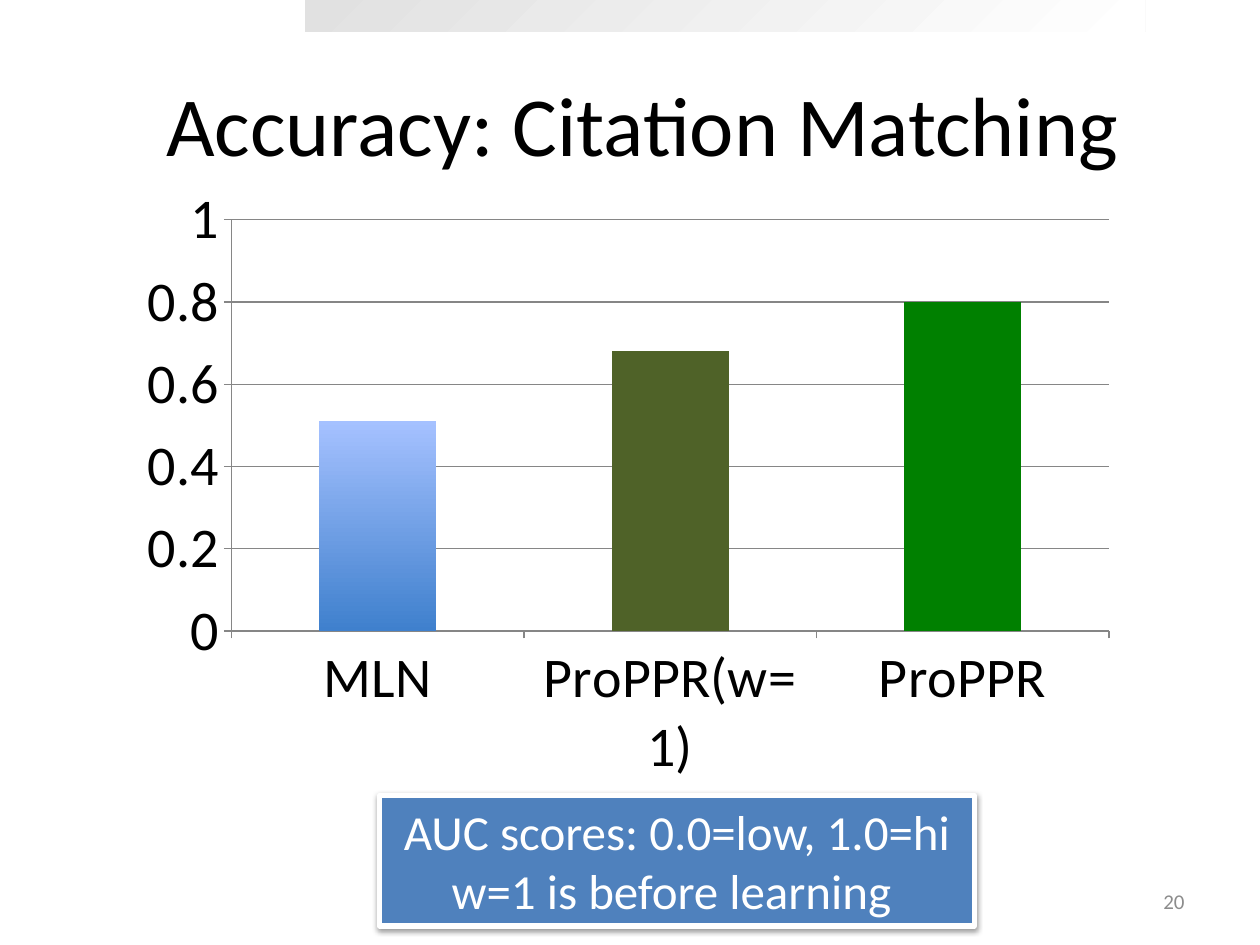
"""Builds the slide that compares citation matching accuracy in a column chart."""
from dataclasses import dataclass

from lxml import etree
from pptx import Presentation
from pptx import util as u
from pptx.chart import data as chart_data
from pptx.dml.color import RGBColor
from pptx.enum import chart as charts, shapes, text
from pptx.oxml import ns

FONT = "Calibri"
BLACK = RGBColor(0x00, 0x00, 0x00)
WHITE = RGBColor(0xFF, 0xFF, 0xFF)
SILVER = RGBColor(0xE1, 0xE1, 0xE1)
GREY = RGBColor(0x8C, 0x8C, 0x8C)
AXIS_GREY = RGBColor(0x86, 0x86, 0x86)
BLUE = RGBColor(0x4F, 0x81, 0xBD)
DEEP_BLUE = RGBColor(0x3F, 0x80, 0xCD)
PALE_BLUE = RGBColor(0xA5, 0xC1, 0xFF)
OLIVE = RGBColor(0x4F, 0x62, 0x28)
GREEN = RGBColor(0x00, 0x80, 0x00)


@dataclass(frozen=True)
class Box:
    left: float
    top: float
    width: float
    height: float

    def lengths(self) -> tuple:
        return u.Cm(self.left), u.Cm(self.top), u.Cm(self.width), u.Cm(self.height)


@dataclass(frozen=True)
class Bar:
    method: str
    score: float
    colors: tuple


BANNER = Box(6.15, 0, 16.94, 0.64)
TITLE = Box(1.04, 0.89, 23.83, 3.18)
SCORES = Box(2.57, 3.48, 20.19, 12.55)
NOTE = Box(7.65, 16.03, 11.99, 2.64)
NUMBER = Box(18.21, 17.65, 5.92, 1.02)

BARS = [
    Bar("MLN", 0.51, (DEEP_BLUE, PALE_BLUE)),
    Bar("ProPPR(w=1)", 0.68, (OLIVE,)),
    Bar("ProPPR", 0.8, (GREEN,)),
]


def paint(fill, colors: tuple, angle: float = 90) -> None:
    if len(colors) == 1:
        fill.solid()
        fill.fore_color.rgb = colors[0]
        return
    fill.gradient()
    fill.gradient_angle = angle
    for stop, color in zip(fill.gradient_stops, colors):
        stop.color.rgb = color


def style_font(font, size: float, color: RGBColor) -> None:
    font.name = FONT
    font.size = u.Pt(size)
    font.color.rgb = color


def write(frame, words: str, size: float, color: RGBColor, align) -> None:
    frame.text = words
    frame.vertical_anchor = text.MSO_ANCHOR.MIDDLE
    for paragraph in frame.paragraphs:
        paragraph.alignment = align
        for run in paragraph.runs:
            style_font(run.font, size, color)


def add_panel(slide, box: Box, colors: tuple, angle: float = 90):
    panel = slide.shapes.add_shape(shapes.MSO_SHAPE.RECTANGLE, *box.lengths())
    paint(panel.fill, colors, angle)
    panel.line.fill.background()
    panel.shadow.inherit = False
    return panel


def add_note(slide) -> None:
    note = add_panel(slide, NOTE, (BLUE,))
    note.line.color.rgb = WHITE
    note.line.width = u.Pt(3)
    effects = note.element.spPr.find(ns.qn("a:effectLst"))
    shadow = etree.SubElement(effects, ns.qn("a:outerShdw"), blurRad="40000",
                              dist="20000", dir="5400000", rotWithShape="0")
    tint = etree.SubElement(shadow, ns.qn("a:srgbClr"), val=str(BLACK))
    etree.SubElement(tint, ns.qn("a:alpha"), val="38000")
    write(note.text_frame, "AUC scores: 0.0=low, 1.0=hi\nw=1 is before learning ",
          28, WHITE, text.PP_ALIGN.CENTER)
    note.text_frame.word_wrap = False


def add_scores(slide) -> None:
    scores = chart_data.CategoryChartData()
    scores.categories = [bar.method for bar in BARS]
    scores.add_series("Series 1", [bar.score for bar in BARS])
    chart = slide.shapes.add_chart(charts.XL_CHART_TYPE.COLUMN_CLUSTERED,
                                   *SCORES.lengths(), scores).chart
    chart.has_legend = False
    chart.has_title = False
    style_font(chart.font, 32, BLACK)

    plot = chart.plots[0]
    plot.gap_width = 150
    plot.vary_by_categories = False
    series = plot.series[0]
    paint(series.format.fill, (BLUE,))
    for index, bar in enumerate(BARS):
        paint(series.points[index].format.fill, bar.colors)

    for axis in (chart.category_axis, chart.value_axis):
        axis.major_tick_mark = charts.XL_TICK_MARK.OUTSIDE
        axis.minor_tick_mark = charts.XL_TICK_MARK.NONE
        axis.format.line.color.rgb = AXIS_GREY
    chart.value_axis.minimum_scale = 0
    chart.value_axis.maximum_scale = 1
    chart.value_axis.major_unit = 0.2
    chart.value_axis.has_major_gridlines = True
    chart.value_axis.major_gridlines.format.line.color.rgb = AXIS_GREY


def main() -> None:
    deck = Presentation()
    deck.slide_width, deck.slide_height = u.Cm(25.4), u.Cm(19.05)
    slide = deck.slides.add_slide(deck.slide_layouts[5])

    add_panel(slide, BANNER, (SILVER, WHITE), angle=315)
    title = slide.shapes.title
    title.left, title.top, title.width, title.height = TITLE.lengths()
    write(title.text_frame, "Accuracy: Citation Matching", 48, BLACK, text.PP_ALIGN.CENTER)
    add_note(slide)
    number = slide.shapes.add_textbox(*NUMBER.lengths())
    number.text_frame.word_wrap = True
    write(number.text_frame, "20", 12, GREY, text.PP_ALIGN.RIGHT)
    add_scores(slide)

    deck.save("out.pptx")


if __name__ == "__main__":
    main()
